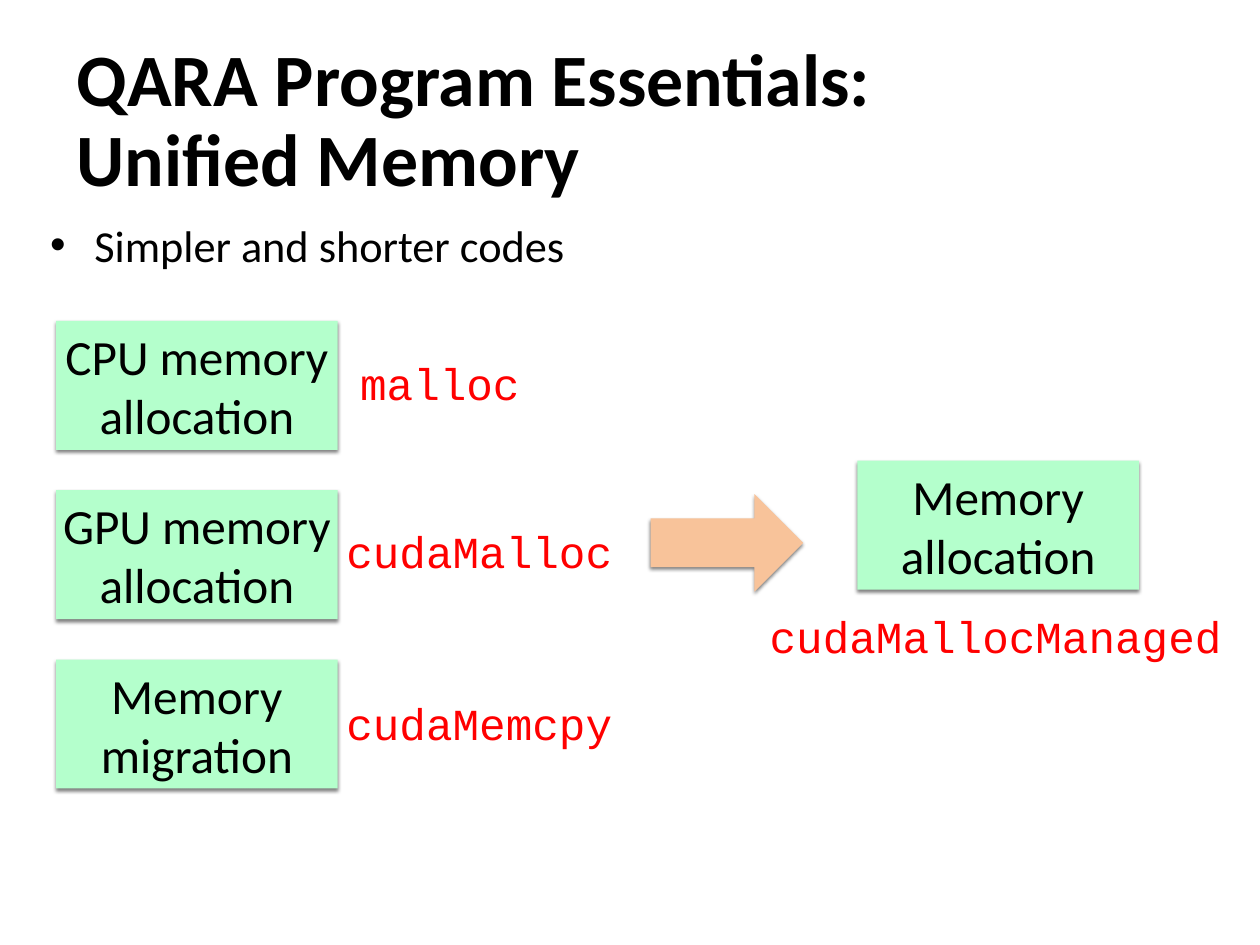
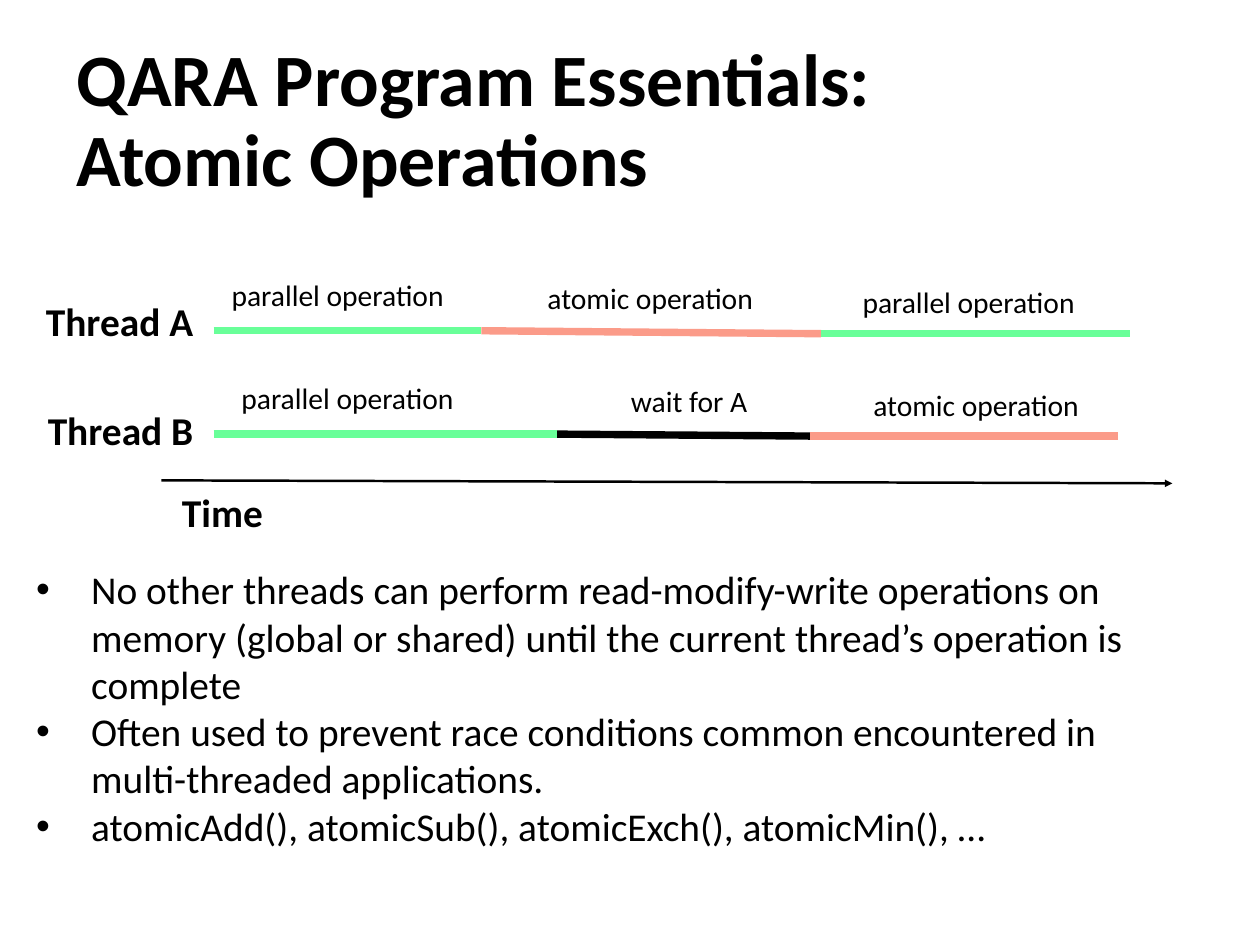
from dataclasses import dataclass

from lxml.etree import SubElement
from pptx import Presentation
from pptx.dml.color import RGBColor
from pptx.enum.shapes import MSO_CONNECTOR as Connector, MSO_SHAPE as Shape
from pptx.enum.text import MSO_ANCHOR as Anchor, PP_ALIGN as Align
from pptx.oxml.ns import qn
from pptx.util import Inches, Pt


@dataclass(frozen=True)
class Theme:
    body_font: str = "Calibri"
    code_font: str = "Courier New"
    ink: str = "000000"
    code: str = "FF0000"
    block: str = "B4FFCC"
    arrow: str = "F8C39A"
    parallel: str = "69FF99"
    atomic: str = "FB9B89"
    title_size: int = 60
    block_size: int = 40
    large_size: int = 36
    medium_size: int = 32
    small_size: int = 24


theme = Theme()

# The slide is a grid of 128 columns by 96 rows of square cells
COLUMNS, ROWS = 128, 96
CELL = Pt(8)


def at(*cells):
    return [round(value * CELL) for value in cells]


def write(frame, lines, size, color=theme.ink, font=theme.body_font, bold=False,
          align=Align.LEFT, anchor=Anchor.TOP, wrap=True, spacing=None, indent=None):
    frame.word_wrap = wrap
    frame.vertical_anchor = anchor
    for number, line in enumerate(lines):
        paragraph = frame.add_paragraph() if number else frame.paragraphs[0]
        paragraph.text = line
        paragraph.alignment = align
        paragraph.font.name = font
        paragraph.font.size = Pt(size)
        paragraph.font.bold = bold
        paragraph.font.color.rgb = RGBColor.from_string(color)
        if spacing:
            paragraph.line_spacing = spacing
        if indent:
            properties = paragraph._p.get_or_add_pPr()
            properties.set("marL", str(Inches(indent)))
            properties.set("indent", str(-Inches(indent)))
            SubElement(properties, qn("a:buFont"), typeface="Arial")
            SubElement(properties, qn("a:buChar"), char="•")


presentation = Presentation()
presentation.slide_width, presentation.slide_height = at(COLUMNS, ROWS)

# Slides with their shared title style
slides = []
for topic in ("Unified Memory", "Atomic Operations"):
    slide = presentation.slides.add_slide(presentation.slide_layouts[6])
    title = slide.shapes.add_textbox(*at(6.9, 5.9, 103.5, 13.1))
    write(title.text_frame, ["QARA Program Essentials:", topic], theme.title_size,
          bold=True, anchor=Anchor.MIDDLE, spacing=0.9)
    slides.append(slide)
memory_slide, atomic_slide = slides

# Unified memory: opening bullet
bullet = memory_slide.shapes.add_textbox(*at(4.2, 21.7, 118.4, 6.4))
write(bullet.text_frame, ["Simpler and shorter codes"], theme.large_size, indent=0.5)

# Unified memory: three steps on the left, one on the right, an arrow between
BLOCK_SIZE = (28.6, 13.1)
STEP_LEFT, STEP_TOP, STEP_PITCH = 5.7, 32.6, 17.2
step_names = ["CPU memory allocation", "GPU memory allocation", "Memory migration"]
blocks = [(Shape.RECTANGLE, name, theme.block,
           (STEP_LEFT, STEP_TOP + row * STEP_PITCH, *BLOCK_SIZE))
          for row, name in enumerate(step_names)]
blocks += [
    (Shape.RECTANGLE, "Memory allocation", theme.block, (87.1, 46.8, *BLOCK_SIZE)),
    (Shape.RIGHT_ARROW, None, theme.arrow, (66.1, 50.2, 15.5, 9.9)),
]
for preset, name, color, place in blocks:
    shape = memory_slide.shapes.add_shape(preset, *at(*place))
    shape.fill.solid()
    shape.fill.fore_color.rgb = RGBColor.from_string(color)
    shape.line.fill.background()
    shape.shadow.inherit = False
    effects = shape._element.spPr.find(qn("a:effectLst"))
    shadow = SubElement(effects, qn("a:outerShdw"), blurRad=str(Pt(3)),
                        dist=str(Pt(2)), dir="5400000", rotWithShape="0")
    shadow_color = SubElement(shadow, qn("a:srgbClr"), val=theme.ink)
    SubElement(shadow_color, qn("a:alpha"), val="50000")
    if name:
        frame = shape.text_frame
        frame.margin_left = frame.margin_right = Inches(0.06)
        frame.margin_top = frame.margin_bottom = Inches(0.06)
        write(frame, [name], theme.block_size, align=Align.CENTER, anchor=Anchor.MIDDLE)

# Unified memory: the call behind each step
for call, place, spacing in (
    ("malloc", (35.7, 36.4, 38, 5.6), 0.9),
    ("cudaMalloc", (34.3, 53.4, 38, 5.6), 0.9),
    ("cudaMemcpy", (34.3, 70.3, 38, 6.4), None),
    ("cudaMallocManaged", (77.3, 61.4, 48.6, 6.4), None),
):
    label = memory_slide.shapes.add_textbox(*at(*place))
    write(label.text_frame, [call], theme.large_size, theme.code, theme.code_font,
          spacing=spacing)

# Atomic operations: explanation
notes = atomic_slide.shapes.add_textbox(*at(2.8, 57, 118.9, 30))
write(notes.text_frame, [
    "No other threads can perform read-modify-write operations on memory "
    "(global or shared) until the current thread’s operation is complete",
    "Often used to prevent race conditions common encountered in "
    "multi-threaded applications.",
    "atomicAdd(), atomicSub(), atomicExch(), atomicMin(), …",
], theme.medium_size, indent=0.62)

# Atomic operations: timeline segments, each thread a chain of points
timeline = atomic_slide.shapes.add_group_shape().shapes
thread_a = [(21.7, 33.6), (48.9, 33.6), (83.4, 33.9), (114.8, 33.9)]
thread_b = [(21.7, 44.1), (56.6, 44.1), (82.3, 44.3), (113.6, 44.3)]
time_axis = [(16.4, 48.8), (119.1, 49.1)]
for points, colors, width in (
    (thread_a, (theme.parallel, theme.atomic, theme.parallel), 6),
    (thread_b, (theme.parallel, theme.ink, theme.atomic), 6),
    (time_axis, (theme.ink,), 2),
):
    for start, end, color in zip(points, points[1:], colors):
        segment = timeline.add_connector(Connector.STRAIGHT, *at(*start, *end))
        segment.line.color.rgb = RGBColor.from_string(color)
        segment.line.width = Pt(width)
        properties = segment._element.spPr
        if points is time_axis:
            SubElement(properties.find(qn("a:ln")), qn("a:tailEnd"), type="triangle")
        SubElement(properties, qn("a:effectLst"))

# Atomic operations: segment labels
PARALLEL, ATOMIC, WAIT = "parallel operation", "atomic operation", "wait for A"
label_widths = {PARALLEL: 23.6, ATOMIC: 22.9, WAIT: 13.8}
for text, left, top in (
    (PARALLEL, 22.5, 27.7), (ATOMIC, 54.6, 28), (PARALLEL, 86.6, 28.4),
    (PARALLEL, 23.5, 38.2), (WAIT, 63.1, 38.5), (ATOMIC, 87.7, 38.9),
):
    label = timeline.add_textbox(*at(left, top, label_widths[text], 4.5))
    write(label.text_frame, [text], theme.small_size, align=Align.CENTER, wrap=False)

# Atomic operations: names of the threads and the axis
for text, left, top, width in (
    ("Thread A", 3.7, 29.7, 16.9),
    ("Thread B", 3.9, 40.8, 16.7),
    ("Time", 17.5, 49.1, 10.2),
):
    label = timeline.add_textbox(*at(left, top, width, 5.8))
    write(label.text_frame, [text], theme.medium_size, bold=True,
          align=Align.CENTER, wrap=False)

presentation.save("out.pptx")
